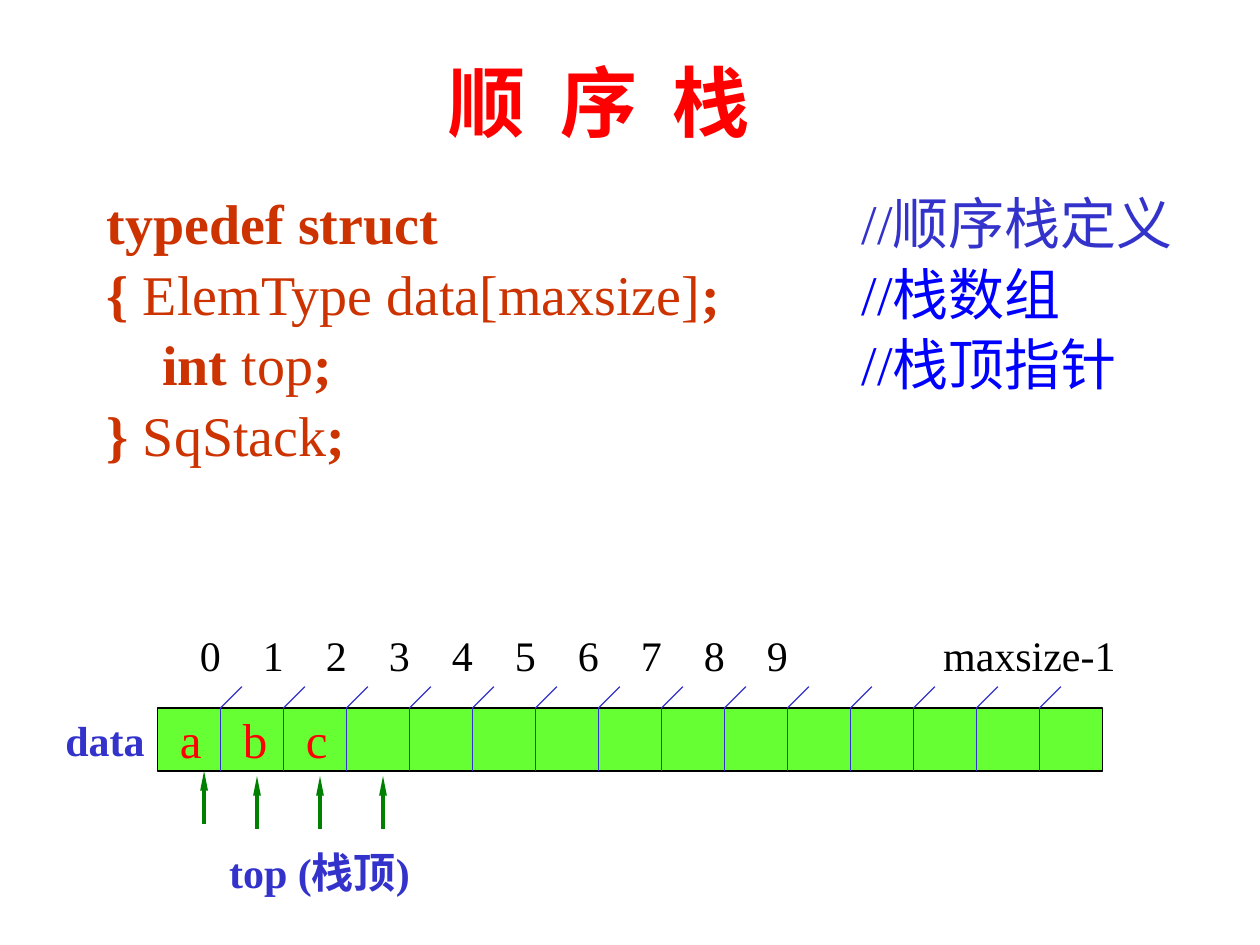
import pptx
import pptx.util
import pptx.dml.color
import pptx.enum.shapes
import pptx.enum.text
import pptx.oxml.ns
import lxml.etree

Inches, Pt = pptx.util.Inches, pptx.util.Pt
ALIGN = pptx.enum.text.PP_ALIGN
ANCHOR = pptx.enum.text.MSO_ANCHOR
FONT = "Times New Roman"
COLORS = {"title": "FF0000", "code": "CC3300", "note": "0000FF",
          "label": "3333CC", "item": "FF0000", "index": "000000",
          "cell": "66FF33", "edge": "000000", "arrow": "008000"}

# Each line: indent in inches, then runs of (text, bold, colour)
CODE = [
    (0, [("typedef struct", True, "code")]),
    (0, [("{ ", True, "code"), ("ElemType data[maxsize]", False, "code"),
         (";", True, "code")]),
    (0.44, [("int ", True, "code"), ("top", False, "code"), (";", True, "code")]),
    (0, [("} ", True, "code"), ("SqStack", False, "code"), (";", True, "code")]),
]
NOTES = [
    (0, [("//顺序栈定义", False, "label")]),
    (0, [("//栈数组", False, "note")]),
    (0, [("//栈顶指针", False, "note")]),
]
ITEMS = ["a", "b", "c"]
INDEXES = [(i, str(i)) for i in range(10)] + [(13, "maxsize-1")]
CELLS, CELL, LEFT, TOP, TICK = 15, 0.5, 1.25, 5.62, 0.17
ARROWS = [(1.62, 6.54)] + [(2.04 + CELL * i, 6.58) for i in range(3)]

deck = pptx.Presentation()
deck.slide_width, deck.slide_height = Inches(10), Inches(7.5)
slide = deck.slides.add_slide(deck.slide_layouts[6])
shapes = slide.shapes


def rgb(name):
    return pptx.dml.color.RGBColor.from_string(COLORS[name])


def sub(parent, tag, **attrs):
    return lxml.etree.SubElement(parent, pptx.oxml.ns.qn(tag), attrs)


def add_run(para, text, size, color, bold=False):
    run = para.add_run()
    run.text = text
    font = run.font
    font.name, font.size, font.bold = FONT, Pt(size), bold
    font.color.rgb = rgb(color)
    return run


def add_box(x, y, w, h, wrap=False):
    frame = shapes.add_textbox(Inches(x), Inches(y), Inches(w), Inches(h)).text_frame
    frame.word_wrap = wrap
    return frame


def add_text(text, x, y, w, h, size=24, color="label", bold=False,
             align=ALIGN.LEFT, anchor=ANCHOR.TOP):
    frame = add_box(x, y, w, h)
    frame.vertical_anchor = anchor
    para = frame.paragraphs[0]
    para.alignment = align
    return add_run(para, text, size, color, bold)


def add_line(x1, y1, x2, y2, color="label", width=0.75, head=False):
    line = shapes.add_connector(pptx.enum.shapes.MSO_CONNECTOR.STRAIGHT,
                                Inches(x1), Inches(y1), Inches(x2), Inches(y2))
    line.line.color.rgb = rgb(color)
    line.line.width = Pt(width)
    if head:
        sub(line.line._get_or_add_ln(), "a:tailEnd", type="triangle", w="sm", len="lg")
    sub(line._element.spPr, "a:effectLst")


def add_lines(lines, x, w):
    frame = add_box(x, 1.25, w, 2.51, wrap=True)
    frame.margin_top = Inches(0.22)
    for row, (indent, runs) in enumerate(lines):
        para = frame.paragraphs[0] if row == 0 else frame.add_paragraph()
        para.line_spacing = 1.05
        props = para._p.get_or_add_pPr()
        props.set("marL", str(Inches(indent)))
        props.set("indent", "0")
        for text, bold, color in runs:
            add_run(para, text, 32, color, bold)


def add_array():
    bar = shapes.add_shape(pptx.enum.shapes.MSO_SHAPE.RECTANGLE, Inches(LEFT),
                           Inches(TOP), Inches(CELLS * CELL), Inches(CELL))
    bar.shadow.inherit = False
    bar.fill.solid()
    bar.fill.fore_color.rgb = rgb("cell")
    bar.line.color.rgb = rgb("edge")
    bar.line.width = Pt(0.75)
    for i in range(1, CELLS):
        x = LEFT + i * CELL
        add_line(x, TOP, x, TOP + CELL)
        add_line(x, TOP, x + TICK, TOP - TICK)
    for i, text in INDEXES:
        w = 0.4 if len(text) == 1 else 1.6
        mid = LEFT + 0.42 + i * CELL
        add_text(text, mid - w / 2, 4.95, w, 0.5, color="index", align=ALIGN.CENTER)
    for i, text in enumerate(ITEMS):
        add_text(text, LEFT + 0.08 + i * CELL, 5.58, 0.38, 0.57, size=28, color="item")
    add_text("data", 0.42, TOP, 0.83, 0.5, bold=True)


title = add_text("顺 序 栈", 1.42, 0.42, 6.67, 0.75, size=44, color="title",
                 bold=True, align=ALIGN.CENTER, anchor=ANCHOR.MIDDLE)
title.font._element.set("spc", "500")
add_lines(CODE, 0.75, 5.9)
add_lines(NOTES, 6.74, 2.84)
add_array()
for x, y in ARROWS:
    add_line(x, y, x, y - 0.42, color="arrow", width=2.25, head=True)
add_text("top (栈顶)", 1.72, 6.67, 1.9, 0.5, bold=True)
deck.save("out.pptx")
